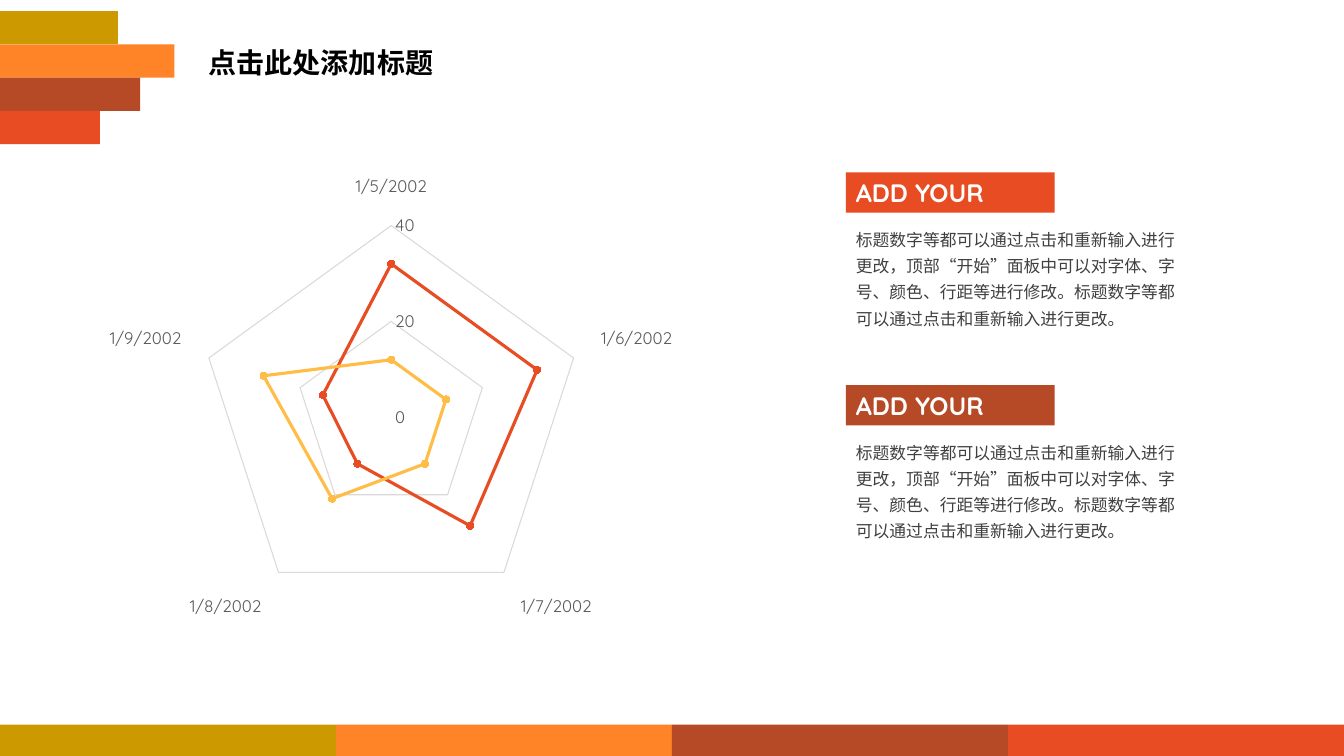
from lxml import etree
from pptx import Presentation
from pptx.chart.data import CategoryChartData
from pptx.dml.color import RGBColor
from pptx.enum.chart import XL_CHART_TYPE, XL_MARKER_STYLE, XL_TICK_MARK
from pptx.enum.shapes import MSO_SHAPE
from pptx.enum.text import MSO_ANCHOR, MSO_AUTO_SIZE, PP_ALIGN
from pptx.oxml.ns import qn
from pptx.util import Inches, Pt

RADAR = XL_CHART_TYPE.RADAR_MARKERS
CIRCLE = XL_MARKER_STYLE.CIRCLE
NO_TICK = XL_TICK_MARK.NONE
RECT = MSO_SHAPE.RECTANGLE
TOP, MIDDLE = MSO_ANCHOR.TOP, MSO_ANCHOR.MIDDLE
GROW, FIXED = MSO_AUTO_SIZE.SHAPE_TO_FIT_TEXT, MSO_AUTO_SIZE.NONE
LEFT = PP_ALIGN.LEFT

WIDE, HIGH = 13.33, 7.5
LATIN, HAN = "Quicksand", "Noto Sans CJK SC"
COLORS = {
    "gold": "CC9900", "orange": "FF8427", "brown": "B64926", "red": "E84C22",
    "amber": "FFBD47", "black": "000000", "white": "FFFFFF",
    "body": "404040", "label": "595959", "grid": "D9D9D9",
}
BANDS = {"gold": 1.17, "orange": 1.73, "brown": 1.39, "red": 0.99}
DAYS = [37261, 37262, 37263, 37264, 37265]
SERIES = [
    ("Series 1", [32, 32, 28, 12, 15], "red"),
    ("Series 2", [12, 12, 12, 21, 28], "amber"),
]
NOTE = ("标题数字等都可以通过点击和重新输入进行更改，顶部“开始”面板中可以对字体、"
        "字号、颜色、行距等进行修改。标题数字等都可以通过点击和重新输入进行更改。")


def color(name):
    return RGBColor.from_string(COLORS[name])


def style(font, size, tone, face=LATIN, bold=False):
    font.size, font.name, font.bold = Pt(size), face, bold
    font.color.rgb = color(tone)


def write(shape, text, size, tone, face=LATIN, bold=False, space=1.0,
          anchor=TOP, wrap=True, fit=GROW):
    frame = shape.text_frame
    frame.word_wrap, frame.auto_size = wrap, fit
    frame.vertical_anchor = anchor
    para = frame.paragraphs[0]
    para.alignment, para.line_spacing, para.space_before = LEFT, space, Pt(0)
    run = para.add_run()
    run.text = text
    style(run.font, size, tone, face, bold)
    if face == HAN:
        east = etree.SubElement(run.font._element, qn("a:ea"))
        east.set("typeface", face)


def place_plot(chart, x, y, w, h):
    """Fix the inner plot area, in fractions of the chart."""
    area = chart._chartSpace.chart.plotArea
    for old in area.findall(qn("c:layout")):
        area.remove(old)
    layout = etree.Element(qn("c:layout"))
    manual = etree.SubElement(layout, qn("c:manualLayout"))
    parts = {"layoutTarget": "inner", "xMode": "edge", "yMode": "edge",
             "x": x, "y": y, "w": w, "h": h}
    for tag, val in parts.items():
        etree.SubElement(manual, qn("c:" + tag)).set("val", str(val))
    area.insert(0, layout)


class Deck:
    def __init__(self):
        self.prs = Presentation()
        self.prs.slide_width, self.prs.slide_height = Inches(WIDE), Inches(HIGH)
        self.slide = self.prs.slides.add_slide(self.prs.slide_layouts[5])

    def title(self, text, x, y, w, h):
        shape = self.slide.shapes.title
        shape.left, shape.top = Inches(x), Inches(y)
        shape.width, shape.height = Inches(w), Inches(h)
        write(shape, text, 20, "black", HAN, True, 0.9, MIDDLE, fit=FIXED)

    def bar(self, x, y, w, h, tone):
        shape = self.slide.shapes.add_shape(
            RECT, Inches(x), Inches(y), Inches(w), Inches(h))
        shape.shadow.inherit = False
        shape.fill.solid()
        shape.fill.fore_color.rgb = color(tone)
        shape.line.fill.background()
        return shape

    def block(self, x, y, tone):
        """Coloured heading with a note below it."""
        head = self.bar(x, y, 2.07, 0.4, tone)
        write(head, "ADD YOUR TEXT", 18, "white", bold=True, wrap=False)
        box = self.slide.shapes.add_textbox(
            Inches(x), Inches(y + 0.46), Inches(3.39), Inches(1.15))
        write(box, NOTE, 12, "body", HAN, space=1.3)

    def radar(self, x, y, w, h):
        data = CategoryChartData()
        data.categories = DAYS
        data.categories.number_format = "m/d/yyyy"
        for name, vals, _ in SERIES:
            data.add_series(name, vals)
        chart = self.slide.shapes.add_chart(
            RADAR, Inches(x), Inches(y), Inches(w), Inches(h), data).chart
        chart.has_legend = chart.has_title = False
        style(chart.font, 10, "black")
        place_plot(chart, 0.204, 0.057, 0.58, 0.87)
        cats, vals = chart.category_axis, chart.value_axis
        for axis in (cats, vals):
            axis.major_tick_mark = axis.minor_tick_mark = NO_TICK
            style(axis.tick_labels.font, 12, "label")
        cats.tick_labels.number_format = "m/d/yyyy"
        cats.tick_labels.number_format_is_linked = False
        vals.minimum_scale, vals.maximum_scale, vals.major_unit = 0, 40, 20
        vals.has_major_gridlines = True
        vals.format.line.fill.background()
        for line in (cats.format.line, vals.major_gridlines.format.line):
            line.color.rgb, line.width = color("grid"), Pt(0.75)
        chart.plots[0].vary_by_categories = False
        for series, (_, _, tone) in zip(chart.plots[0].series, SERIES):
            series.smooth = False
            series.format.line.color.rgb = color(tone)
            series.format.line.width = Pt(2.25)
            mark = series.marker
            mark.style, mark.size = CIRCLE, 5
            mark.format.fill.solid()
            mark.format.fill.fore_color.rgb = color(tone)
            mark.format.line.color.rgb = color(tone)


def main():
    deck = Deck()
    thick, part = 0.33, WIDE / len(BANDS)
    for i, (tone, width) in enumerate(BANDS.items()):
        deck.bar(0, 0.11 + i * thick, width, thick, tone)
        deck.bar(i * part, 7.19, part, thick, tone)
    deck.title("点击此处添加标题", 1.97, 0.35, 4.88, 0.58)
    deck.radar(0.64, 1.71, 6.56, 4.94)
    for y, tone in ((1.71, "red"), (3.82, "brown")):
        deck.block(8.39, y, tone)
    deck.prs.save("out.pptx")


if __name__ == "__main__":
    main()
